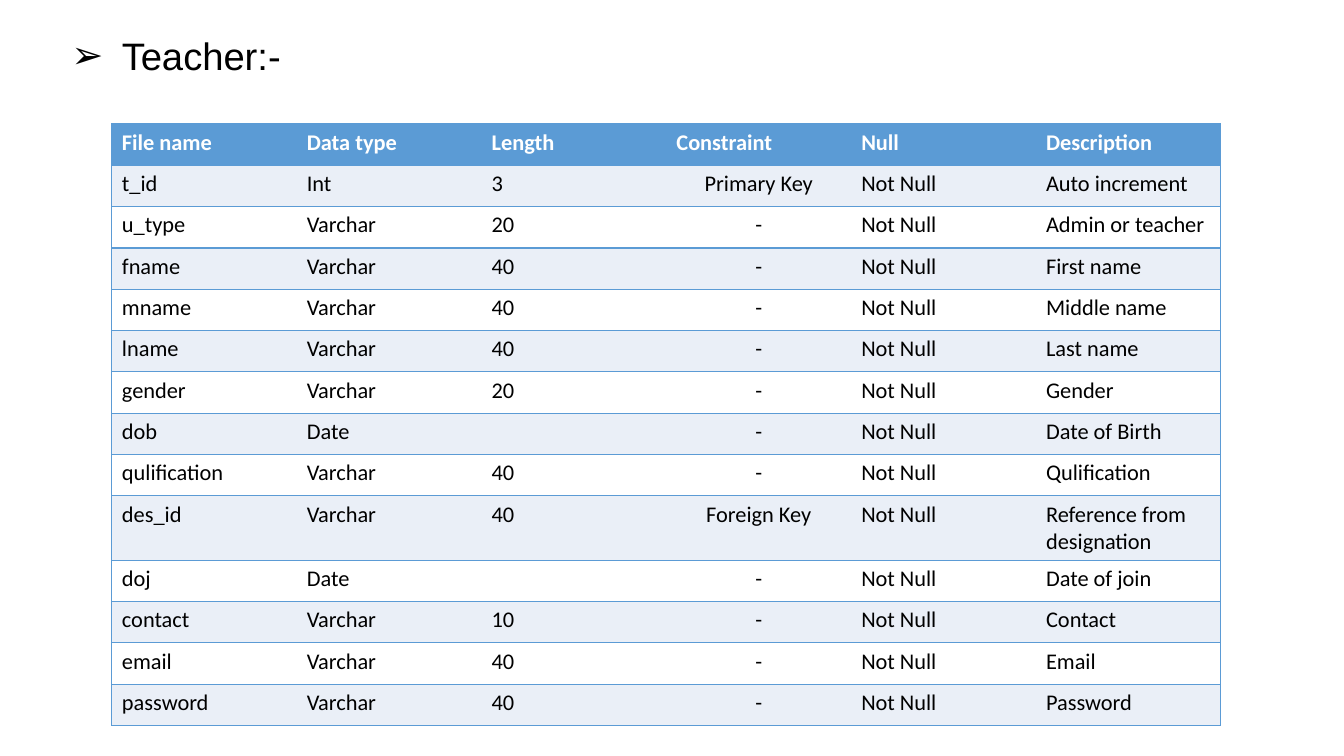
import pptx
import pptx.util
import pptx.dml.color
import pptx.enum.text
import pptx.oxml
import pptx.oxml.ns

Inches = pptx.util.Inches
Pt = pptx.util.Pt
RGB = pptx.dml.color.RGBColor
ALIGN = pptx.enum.text.PP_ALIGN
ANCHOR = pptx.enum.text.MSO_ANCHOR

BLUE = RGB(0x5B, 0x9B, 0xD5)
PALE = RGB(0xEA, 0xEF, 0xF7)
WHITE = RGB(0xFF, 0xFF, 0xFF)
BLACK = RGB(0, 0, 0)

HEAD = ["File name", "Data type", "Length", "Constraint", "Null", "Description"]
FIELDS = [
    ("t_id", "Int", "3", "Primary Key", "Auto increment"),
    ("u_type", "Varchar", "20", "-", "Admin or teacher"),
    ("fname", "Varchar", "40", "-", "First name"),
    ("mname", "Varchar", "40", "-", "Middle name"),
    ("lname", "Varchar", "40", "-", "Last name"),
    ("gender", "Varchar", "20", "-", "Gender"),
    ("dob", "Date", "", "-", "Date of Birth"),
    ("qulification", "Varchar", "40", "-", "Qulification"),
    ("des_id", "Varchar", "40", "Foreign Key", "Reference from designation"),
    ("doj", "Date", "", "-", "Date of join"),
    ("contact", "Varchar", "10", "-", "Contact"),
    ("email", "Varchar", "40", "-", "Email"),
    ("password", "Varchar", "40", "-", "Password"),
]
KEY_COL = HEAD.index("Constraint")


def node(tag, inner="", **attrs):
    """Build one DrawingML element."""
    pairs = " ".join(f'{key}="{val}"' for key, val in attrs.items())
    space = pptx.oxml.ns.nsdecls("a")
    return pptx.oxml.parse_xml(f"<a:{tag} {space} {pairs}>{inner}</a:{tag}>")


class Page:
    def __init__(self, deck):
        self.slide = deck.slides.add_slide(deck.slide_layouts[6])
        self.title = {"name": "Arial", "size": Pt(27.3), "bold": False}
        self.body = {"name": "Calibri", "size": Pt(16), "bold": False}
        self.head = {**self.body, "bold": True}

    def label(self, para, text, style, color):
        run = para.add_run()
        run.text = text
        for key, val in style.items():
            setattr(run.font, key, val)
        run.font.color.rgb = color

    def heading(self, text, left, top, width, height):
        box = self.slide.shapes.add_textbox(left, top, width, height)
        frame = box.text_frame
        frame.word_wrap = True
        frame.vertical_anchor = ANCHOR.MIDDLE
        para = frame.paragraphs[0]
        para.line_spacing = 0.8
        props = para._p.get_or_add_pPr()
        props.set("marL", str(Inches(0.5)))
        props.set("indent", str(-Inches(0.5)))
        props.append(node("buFont", typeface="Arial"))
        props.append(node("buChar", char="➢"))
        self.label(para, text, self.title, BLACK)

    def border(self, cell, first, last):
        """Rule every row, and close the table at its outer sides."""
        line = f'<a:solidFill><a:srgbClr val="{BLUE}"/></a:solidFill>'
        sides = {"lnL": first, "lnR": last, "lnT": True, "lnB": True}
        props = cell._tc.get_or_add_tcPr()
        for tag, shown in sides.items():
            inner = line if shown else "<a:noFill/>"
            props.append(node(tag, inner, w=Pt(1)))

    def table(self, rows, left, top, width, high, tall):
        """Draw a banded table; tall maps a row number to its own height."""
        count = len(rows[0])
        frame = self.slide.shapes.add_table(
            len(rows), count, left, top, width, high * len(rows))
        grid = frame.table
        grid.first_row = grid.horz_banding = False
        for r, row in enumerate(rows):
            grid.rows[r].height = tall.get(r, high)
            fill = BLUE if r == 0 else PALE if r % 2 else WHITE
            style, color = (self.body, BLACK) if r else (self.head, WHITE)
            for c, text in enumerate(row):
                cell = grid.cell(r, c)
                self.border(cell, c == 0, c == count - 1)
                cell.fill.solid()
                cell.fill.fore_color.rgb = fill
                para = cell.text_frame.paragraphs[0]
                if r and c == KEY_COL:
                    para.alignment = ALIGN.CENTER
                if text:
                    self.label(para, text, style, color)


def main():
    deck = pptx.Presentation()
    deck.slide_width, deck.slide_height = Inches(13.33), Inches(7.5)
    page = Page(deck)
    page.heading("Teacher:-", Inches(0.61), Inches(0.35),
                 Inches(11.5), Inches(0.49))
    rows = [HEAD] + [(*field[:4], "Not Null", field[4]) for field in FIELDS]
    page.table(rows, Inches(1.11), Inches(1.23), Inches(11),
               Inches(0.41), {9: Inches(0.64)})
    deck.save("out.pptx")


if __name__ == "__main__":
    main()
